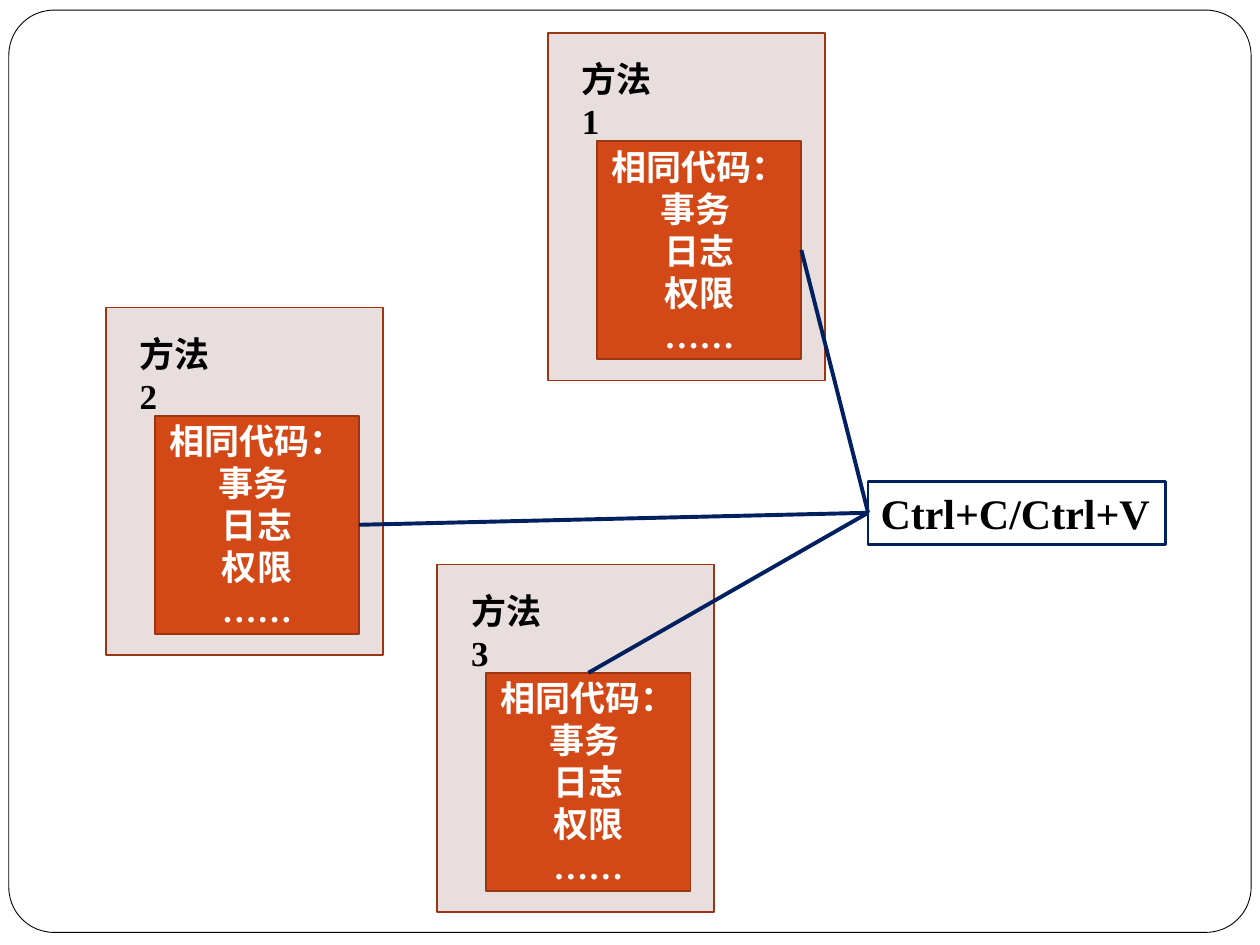
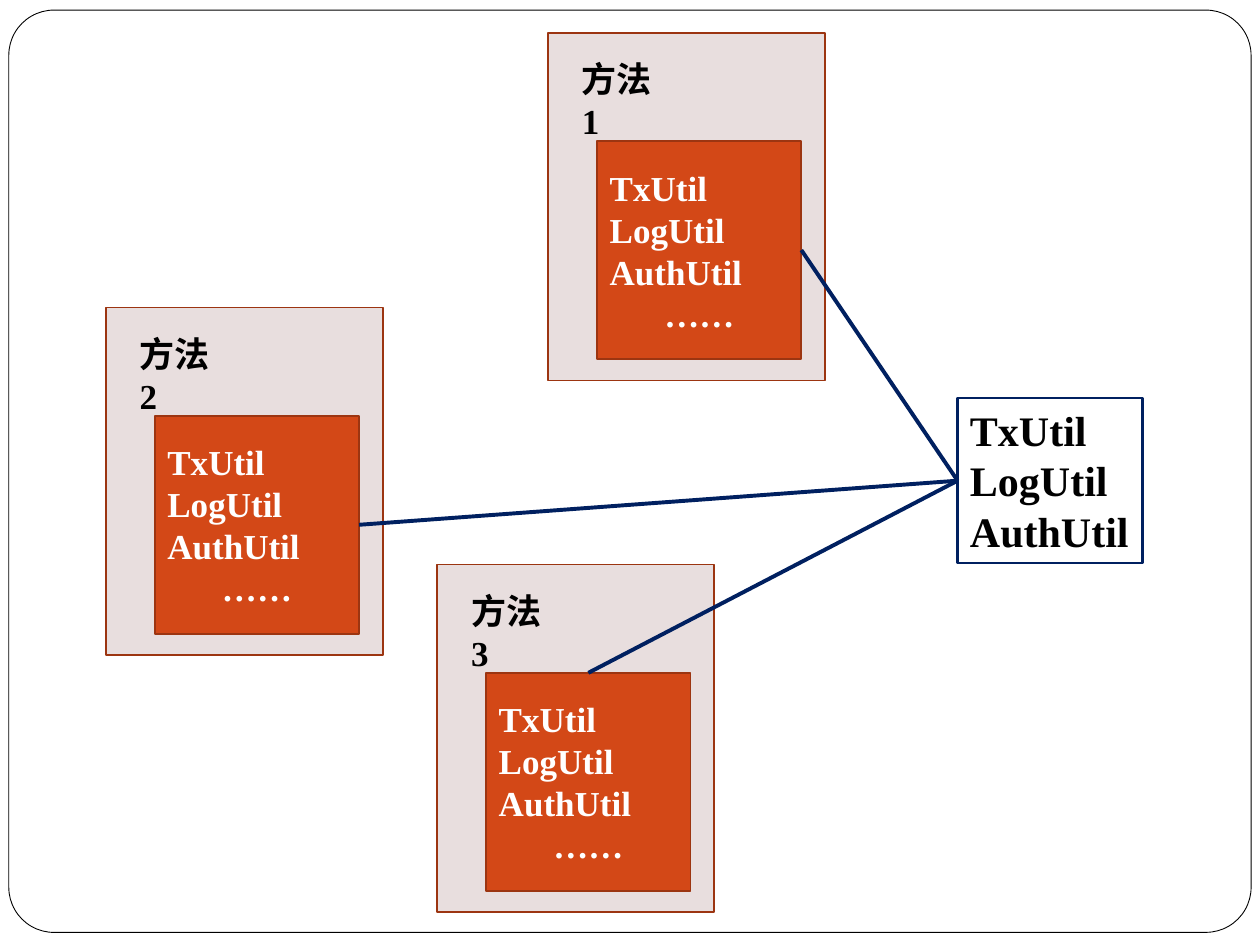
from lxml import etree
from pptx import Presentation
from pptx.dml.color import RGBColor
from pptx.enum import shapes, text
from pptx.oxml import ns
from pptx.util import Inches, Pt

COLOURS = {"white": "FFFFFF", "black": "000000", "card": "E8DEDE",
           "code": "D34817", "edge": "9C3511", "navy": "002060"}
FONT = "Times New Roman"
LEFT, CENTRE = text.PP_ALIGN.LEFT, text.PP_ALIGN.CENTER
TOP, MIDDLE = text.MSO_ANCHOR.TOP, text.MSO_ANCHOR.MIDDLE
SITE_TOP, SITE_LEFT, SITE_RIGHT = 0, 1, 3


def add_box(parent, place, fill, line, width, kind=shapes.MSO_SHAPE.RECTANGLE):
    """Add a flat preset shape; fill and line are colour names or None."""
    box = parent.add_shape(kind, *[Inches(length) for length in place])
    box.shadow.inherit = False
    if fill:
        box.fill.solid()
        box.fill.fore_color.rgb = RGBColor.from_string(COLOURS[fill])
    else:
        box.fill.background()
    if line:
        box.line.color.rgb = RGBColor.from_string(COLOURS[line])
        box.line.width = Pt(width)
    else:
        box.line.fill.background()
    return box


def write(box, lines, size, colour, anchor, wrap):
    """Write (words, alignment) pairs into a box, one paragraph each."""
    frame = box.text_frame
    frame.word_wrap = wrap
    frame.vertical_anchor = anchor
    for index, (words, alignment) in enumerate(lines):
        para = frame.add_paragraph() if index else frame.paragraphs[0]
        para.alignment = alignment
        span = para.add_run()
        span.text = words
        span.font.name = FONT
        span.font.size = Pt(size)
        span.font.bold = True
        span.font.color.rgb = RGBColor.from_string(COLOURS[colour])


deck = Presentation()
deck.slide_width, deck.slide_height = Inches(10), Inches(7.5)
blank = deck.slide_layouts[6]

# Method cards: name, left, top, and the side its line starts from
cards = [("方法3", 3.47, 4.48, SITE_TOP),
         ("方法1", 4.35, 0.26, SITE_RIGHT),
         ("方法2", 0.84, 2.44, SITE_RIGHT)]

utilities = [(name, LEFT) for name in ("TxUtil", "LogUtil", "AuthUtil")]
repeated = [(words, CENTRE) for words in
            ("相同代码：", "事务 ", "日志", "权限", "……")]

# Each slide: code inside the cards, note lines, note place
pages = [(repeated, [("Ctrl+C/Ctrl+V", LEFT)], (6.89, 3.82, 2.36, 0.5)),
         (utilities + [("……", CENTRE)], utilities, (7.6, 3.16, 1.47, 1.31))]

for number, (code_lines, note_lines, note_place) in enumerate(pages):
    page = deck.slides.add_slide(blank)

    # The rounded frame moves to the master, behind every slide
    if number == 0:
        border = add_box(page.shapes, (0.07, 0.08, 9.86, 7.32), "white",
                         "black", 0.5, shapes.MSO_SHAPE.ROUNDED_RECTANGLE)
        border.adjustments[0] = 0.049
        deck.slide_master.shapes._spTree.insert(2, border._element)

    starts = []
    for name, left, top, site in cards:
        card = page.shapes.add_group_shape().shapes
        add_box(card, (left, top, 2.2, 2.76), "card", "edge", 1)
        code = add_box(card, (left + 0.39, top + 0.86, 1.62, 1.73),
                       "code", "edge", 1)
        write(code, code_lines, 20, "white", MIDDLE, True)
        label = card.add_textbox(Inches(left + 0.17), Inches(top + 0.15),
                                 Inches(0.89), Inches(0.44))
        write(label, [(name, LEFT)], 20, "black", TOP, True)
        starts.append((code, site))

    note = add_box(page.shapes, note_place, None, "navy", 1.5)
    write(note, note_lines, 24, "black", TOP, False)

    for code, site in starts:
        link = page.shapes.add_connector(shapes.MSO_CONNECTOR.STRAIGHT, 0, 0, 0, 0)
        link.begin_connect(code, site)
        link.end_connect(note, SITE_LEFT)
        link.line.color.rgb = RGBColor.from_string(COLOURS["navy"])
        link.line.width = Pt(2.25)
        etree.SubElement(link._element.spPr, ns.qn("a:effectLst"))

deck.save("out.pptx")
